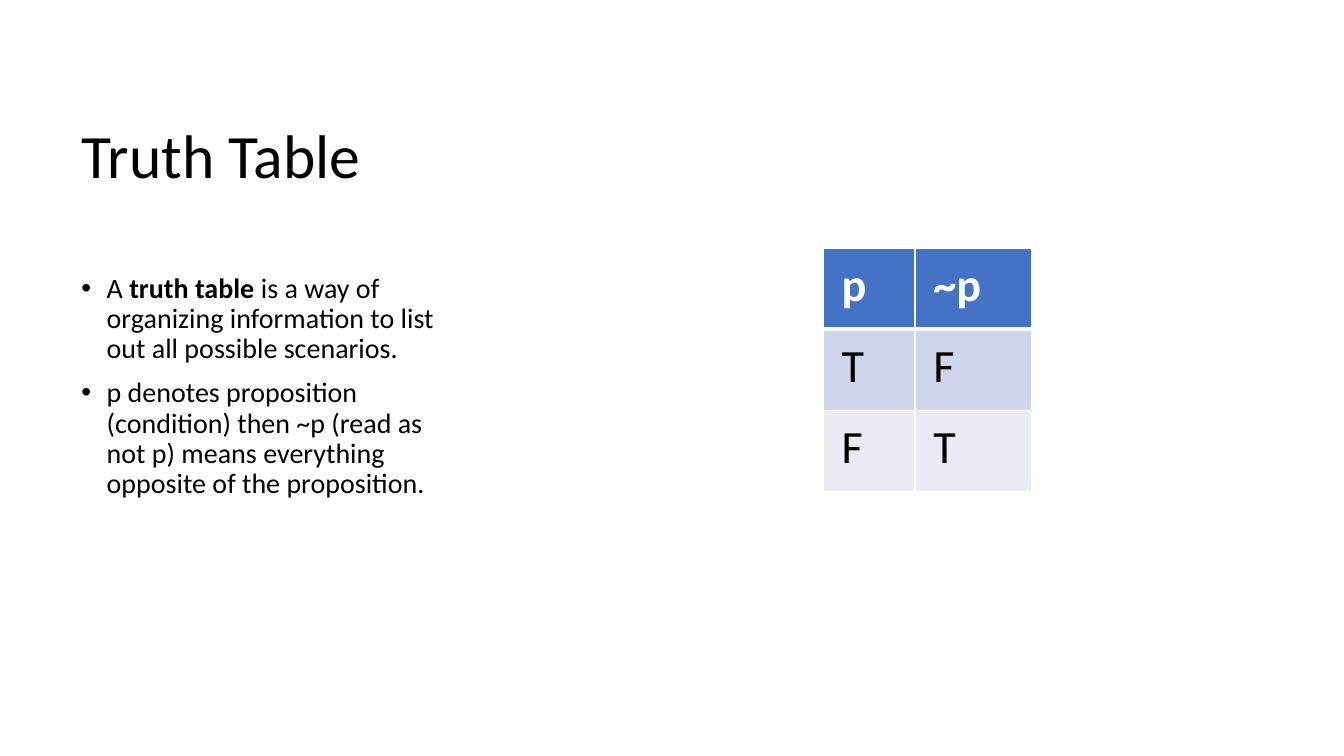
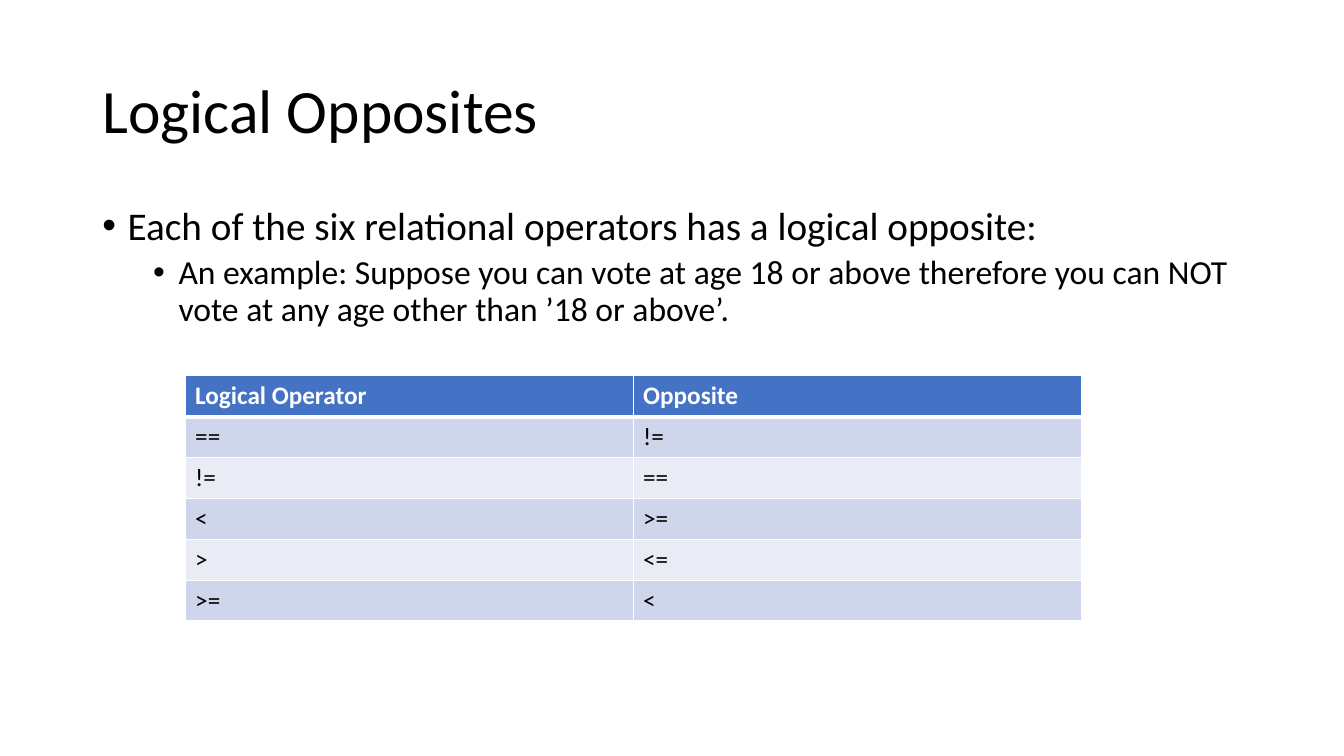
from lxml import etree
from pptx import Presentation
from pptx import util as u
from pptx.dml import color
from pptx.enum import text
from pptx.oxml import ns

BLACK, WHITE, BLUE = "000000", "FFFFFF", "4472C4"
BANDS = ["CFD5EA", "E9EBF5"]
FONT = "Calibri"
INDENT = u.Cm(0.64)

PAGES = [
    {
        "title": "Truth Table",
        "title_box": (1.8, 1.75, 9.73, 4.5),
        "body_box": (1.8, 6.78, 9.73, 10.52),
        "bullets": [
            (0, 20, [("A ", False), ("truth table", True),
                     (" is a way of organizing information to list out all possible scenarios.", False)]),
            (0, 20, [("p denotes proposition (condition) then ~p (read as not p) means everything "
                      "opposite of the proposition.", False)]),
        ],
        "table_at": (20.75, 6.25),
        "columns": (2.31, 2.93),
        "row_height": 2.05,
        "margins": (0.46, 0.23),
        "cell_size": 33,
        "rows": [("p", "~p"), ("T", "F"), ("F", "T")],
    },
    {
        "title": "Logical Opposites",
        "title_box": (2.33, 1.02, 29.21, 3.68),
        "body_box": (2.33, 5.08, 29.21, 12.09),
        "bullets": [
            (0, 28, [("Each of the six relational operators has a logical opposite:", False)]),
            (1, 24, [("An example: Suppose you can vote at age 18 or above therefore you can NOT "
                      "vote at any age other than ’18 or above’.", False)]),
        ],
        "table_at": (4.67, 9.47),
        "columns": (11.29, 11.29),
        "row_height": 1.03,
        "margins": (0.25, 0.13),
        "cell_size": 18,
        "rows": [("Logical Operator", "Opposite"), ("==", "!="), ("!=", "=="),
                 ("<", ">="), (">", "<="), (">=", "<")],
    },
]


def set_font(font, hex_color, **values):
    for name, value in {"name": FONT, **values}.items():
        setattr(font, name, value)
    font.color.rgb = color.RGBColor.from_string(hex_color)


def add_border(cell, side, points):
    line = etree.SubElement(cell._tc.get_or_add_tcPr(), ns.qn(f"a:ln{side}"), w=str(u.Pt(points)))
    fill = etree.SubElement(line, ns.qn("a:solidFill"))
    etree.SubElement(fill, ns.qn("a:srgbClr"), val=WHITE)


deck = Presentation()
deck.slide_width, deck.slide_height = u.Cm(33.87), u.Cm(19.05)

for content in PAGES:
    page = deck.slides.add_slide(deck.slide_layouts[5])

    title = page.shapes.title
    for name, value in zip(("left", "top", "width", "height"), content["title_box"]):
        setattr(title, name, u.Cm(value))
    frame = title.text_frame
    frame.text = content["title"]
    frame.auto_size = text.MSO_AUTO_SIZE.NONE
    frame.vertical_anchor = text.MSO_ANCHOR.MIDDLE
    para = frame.paragraphs[0]
    para.alignment, para.line_spacing = text.PP_ALIGN.LEFT, 0.9
    set_font(para.font, BLACK, size=u.Pt(44))

    box = page.shapes.add_textbox(*map(u.Cm, content["body_box"]))
    frame = box.text_frame
    frame.word_wrap = True
    for index, (level, size, spans) in enumerate(content["bullets"]):
        para = frame.add_paragraph() if index else frame.paragraphs[0]
        para.level = level
        props = para._p.get_or_add_pPr()
        props.set("marL", str(INDENT * (1 + 2 * level)))
        props.set("indent", str(-INDENT))
        etree.SubElement(props, ns.qn("a:buFont"), typeface="Arial")
        etree.SubElement(props, ns.qn("a:buChar"), char="•")
        para.line_spacing = 0.9
        if index:
            para.space_before = u.Pt(5 if level else 10)
        for words, bold in spans:
            span = para.add_run()
            span.text = words
            set_font(span.font, BLACK, size=u.Pt(size), bold=bold)

    rows, columns = content["rows"], content["columns"]
    height = content["row_height"]
    sizes = (*content["table_at"], sum(columns), height * len(rows))
    table = page.shapes.add_table(len(rows), len(columns), *map(u.Cm, sizes)).table
    for column, width in zip(table.columns, columns):
        column.width = u.Cm(width)
    side_margin, end_margin = map(u.Cm, content["margins"])
    for r, values in enumerate(rows):
        table.rows[r].height = u.Cm(height)
        header = r == 0
        for c, value in enumerate(values):
            cell = table.cell(r, c)
            cell.text = value
            cell.margin_left = cell.margin_right = side_margin
            cell.margin_top = cell.margin_bottom = end_margin
            for side, points in {"L": 1, "R": 1, "T": 3 if r == 1 else 1, "B": 3 if header else 1}.items():
                add_border(cell, side, points)
            cell.fill.solid()
            cell.fill.fore_color.rgb = color.RGBColor.from_string(BLUE if header else BANDS[(r - 1) % 2])
            set_font(cell.text_frame.paragraphs[0].runs[0].font, WHITE if header else BLACK,
                     size=u.Pt(content["cell_size"]), bold=header)

deck.save("out.pptx")
